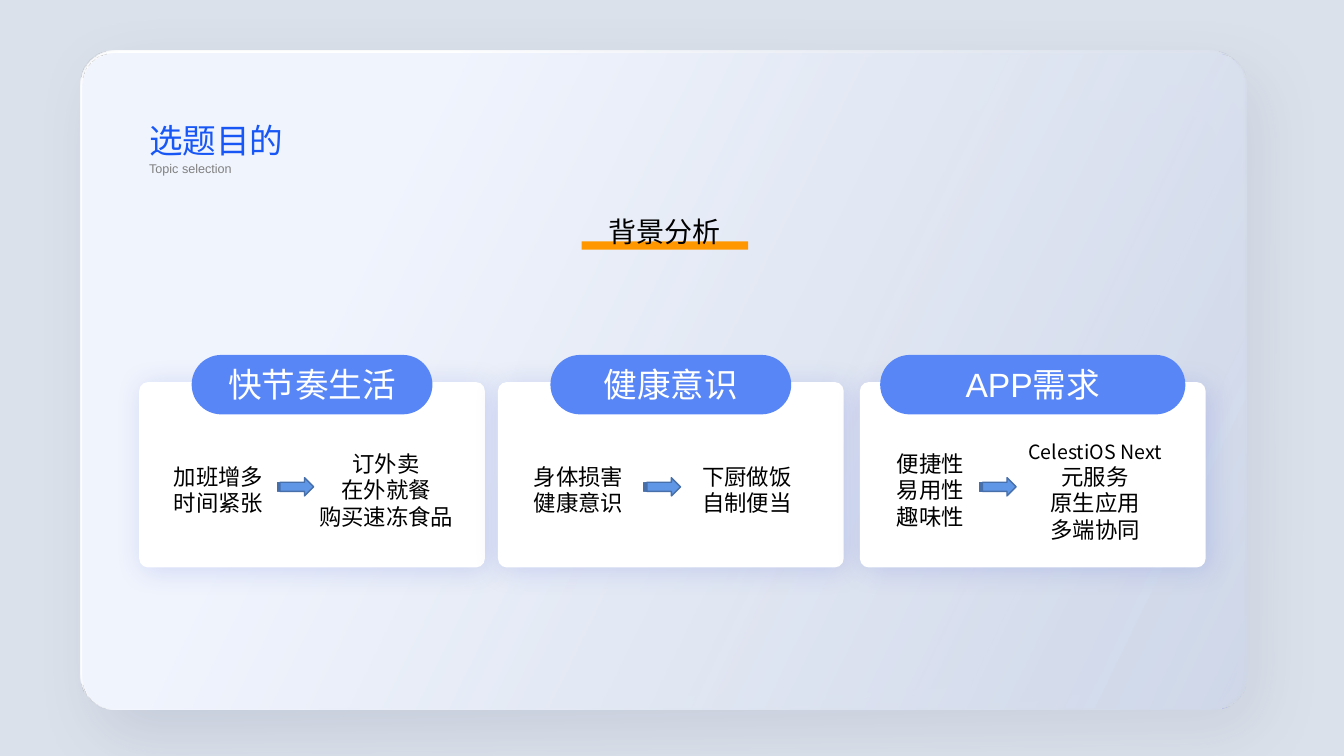
"""Build the topic selection slide with three cause and effect cards."""
from dataclasses import dataclass

from lxml import etree
from pptx import Presentation
from pptx.dml.color import RGBColor
from pptx.enum import shapes, text
from pptx.oxml import ns
from pptx.util import Pt


@dataclass(frozen=True)
class Theme:
    """Colours, fonts and type sizes of the slide."""
    backdrop: str = "DBE1EA"
    accent: str = "1857F6"
    pill: str = "5986F7"
    mark: str = "FF9800"
    arrow: str = "6096E6"
    arrow_edge: str = "476FAA"
    grey: str = "808080"
    black: str = "000000"
    white: str = "FFFFFF"
    panel_shadow: tuple = ("324274", 13, 45, 21, 53)
    card_shadow: tuple = ("1D32CC", 15, 20, 3, 45)
    base_stops: tuple = ((25, "FFFFFF", 100), (99, "CFD8E9", 68))
    face_stops: tuple = ((25, "F0F4FD", 100), (99, "CFD8E9", 78))
    latin: str = "Arial"
    asian: str = "Noto Sans CJK SC"
    title: int = 24
    heading: int = 20
    body: int = 16
    latin_body: int = 14
    caption: int = 9
    leading: float = 1.18


THEME = Theme()
CARD_TOP, CARD_WIDTH, CARD_HEIGHT = 272.9, 247, 132.5
CARDS = [
    (99.4, "快节奏生活", 172, ["加班增多", "时间紧张"], 156.2, 198,
     ["订外卖", "在外就餐", "购买速冻食品"], 275.8),
    (355.7, "健康意识", 172, ["身体损害", "健康意识"], 413.3, 460.1,
     ["下厨做饭", "自制便当"], 533.5),
    (614.2, "APP需求", 218, ["便捷性", "易用性", "趣味性"], 664.6, 699.8,
     ["CelestiOS Next", "元服务", "原生应用", "多端协同"], 782.3),
]


def apply_format(target, values):
    """Set every attribute named in a dict of format values."""
    for name, value in values.items():
        setattr(target, name, value)


def add_child(parent, tag, **values):
    """Append a drawing element with the given attributes."""
    child = etree.SubElement(parent, ns.qn(tag))
    for name, value in values.items():
        child.set(name, str(value))
    return child


def add_shadow(shape, colour, alpha, blur, distance, angle):
    """Give a shape a soft outer shadow."""
    effects = shape._element.spPr.find(ns.qn("a:effectLst"))
    outer = add_child(effects, "a:outerShdw", blurRad=Pt(blur), dist=Pt(distance),
                      dir=angle * 60000, algn="tl", rotWithShape=0)
    add_child(add_child(outer, "a:srgbClr", val=colour), "a:alpha", val=alpha * 1000)


def fill_gradient(shape, stops):
    """Fill a shape with a slanted gradient of partly clear stops."""
    shape.fill.gradient()
    shape.fill.gradient_angle = 360 - 26
    for stop, (position, colour, alpha) in zip(shape.fill.gradient_stops, stops):
        stop.position = position / 100
        stop.color.rgb = RGBColor.from_string(colour)
    colours = shape._element.spPr.iter(ns.qn("a:srgbClr"))
    for element, (position, colour, alpha) in zip(list(colours), stops):
        add_child(element, "a:alpha", val=alpha * 1000)


def add_block(page, kind, frame, fill=None, radius=None, line=None):
    """Add a preset shape with a plain fill and an optional outline."""
    block = page.shapes.add_shape(kind, *map(Pt, frame))
    block.shadow.inherit = False
    if fill:
        block.fill.solid()
        block.fill.fore_color.rgb = RGBColor.from_string(fill)
    if radius is not None:
        block.adjustments[0] = radius
    if line:
        block.line.color.rgb = RGBColor.from_string(line)
        block.line.width = Pt(1)
    else:
        block.line.fill.background()
    return block


def write_lines(box, lines, size, colour, latin=THEME.latin,
                align=text.PP_ALIGN.CENTER, anchor=text.MSO_ANCHOR.MIDDLE):
    """Write one paragraph per line with a fixed leading."""
    frame = box.text_frame
    apply_format(frame, {
        "word_wrap": False, "auto_size": text.MSO_AUTO_SIZE.NONE,
        "vertical_anchor": anchor, "margin_left": 0, "margin_right": 0,
        "margin_top": 0, "margin_bottom": 0})
    for index, line in enumerate(lines):
        para = frame.add_paragraph() if index else frame.paragraphs[0]
        apply_format(para, {"alignment": align,
                            "line_spacing": Pt(round(size * THEME.leading, 1))})
        span = para.add_run()
        span.text = line
        small = size == THEME.body and line.isascii()
        apply_format(span.font, {"size": Pt(THEME.latin_body if small else size),
                                 "name": latin})
        span.font.color.rgb = RGBColor.from_string(colour)
        add_child(span._r.get_or_add_rPr(), "a:ea", typeface=THEME.asian)


def add_label(page, frame, lines, size, colour, **options):
    """Add a text box holding the given lines."""
    box = page.shapes.add_textbox(*map(Pt, frame))
    write_lines(box, lines, size, colour, **options)


def add_panel(page):
    """Add the large rounded panel and its lighter face."""
    rounded = shapes.MSO_SHAPE.ROUNDED_RECTANGLE
    base = add_block(page, rounded, (57.6, 36, 831.6, 470.9), radius=0.055)
    fill_gradient(base, THEME.base_stops)
    add_shadow(base, *THEME.panel_shadow)
    face = add_block(page, rounded, (59, 38.2, 831.6, 468.7), radius=0.051)
    fill_gradient(face, THEME.face_stops)


def add_title(page):
    """Place the title above the panel, with its caption."""
    title = page.shapes.title
    page.shapes._spTree.append(title._element)
    apply_format(title, {"left": Pt(106.5), "top": Pt(86), "width": Pt(156),
                         "height": Pt(29)})
    left = {"align": text.PP_ALIGN.LEFT}
    write_lines(title, ["选题目的"], THEME.title, THEME.accent, **left)
    add_label(page, (106.5, 115, 60, 11), ["Topic selection"], THEME.caption,
              THEME.grey, **left)


def add_card(page, left, name, pill_width, causes, cause_centre, arrow_left,
             effects, effect_centre):
    """Add a white card with a pill heading, causes, an arrow and effects."""
    rounded = shapes.MSO_SHAPE.ROUNDED_RECTANGLE
    card = add_block(page, rounded, (left, CARD_TOP, CARD_WIDTH, CARD_HEIGHT),
                     THEME.white, 0.049)
    add_shadow(card, *THEME.card_shadow)
    pill_left = left + (CARD_WIDTH - pill_width) / 2
    pill = add_block(page, rounded, (pill_left, CARD_TOP - 19.4, pill_width, 42.5),
                     THEME.pill, 0.5)
    write_lines(pill, [name], THEME.title, THEME.white)
    for lines, centre, width in ((causes, cause_centre, 72),
                                 (effects, effect_centre, 116)):
        add_label(page, (centre - width / 2, 310, width, 80), lines, THEME.body,
                  THEME.black, latin=THEME.asian)
    add_block(page, shapes.MSO_SHAPE.STRIPED_RIGHT_ARROW,
              (arrow_left, 341.2, 26, 13), THEME.arrow, line=THEME.arrow_edge)


def main():
    """Build the slide and save it."""
    deck = Presentation()
    apply_format(deck, {"slide_width": Pt(960), "slide_height": Pt(540)})
    page = deck.slides.add_slide(deck.slide_layouts[5])
    page.background.fill.solid()
    page.background.fill.fore_color.rgb = RGBColor.from_string(THEME.backdrop)
    add_panel(page)
    add_title(page)
    add_block(page, shapes.MSO_SHAPE.RECTANGLE, (415.5, 172.5, 119, 5.8), THEME.mark)
    add_label(page, (400.4, 152, 149, 27), ["背景分析"], THEME.heading, THEME.black)
    for card in CARDS:
        add_card(page, *card)
    deck.save("out.pptx")


if __name__ == "__main__":
    main()
